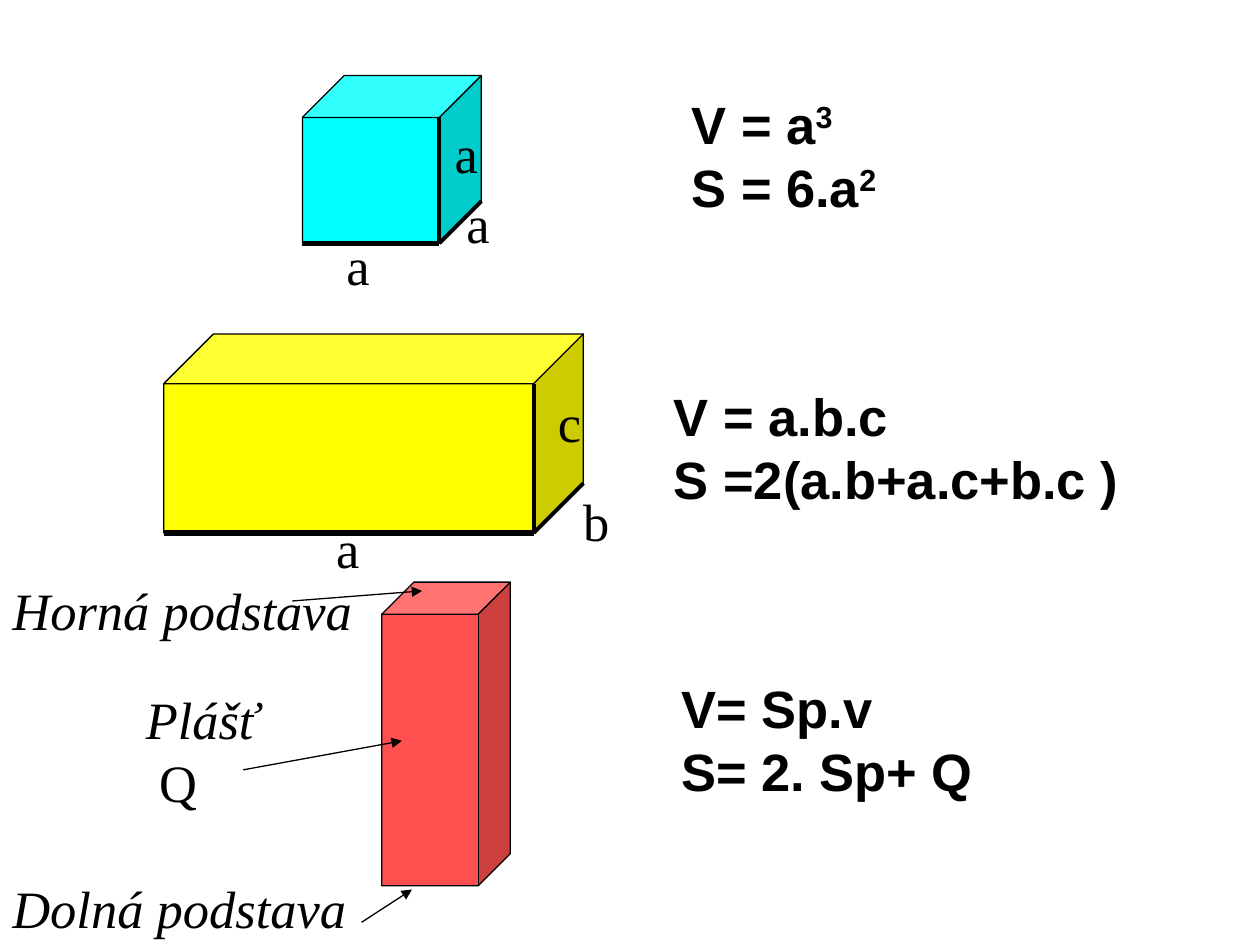
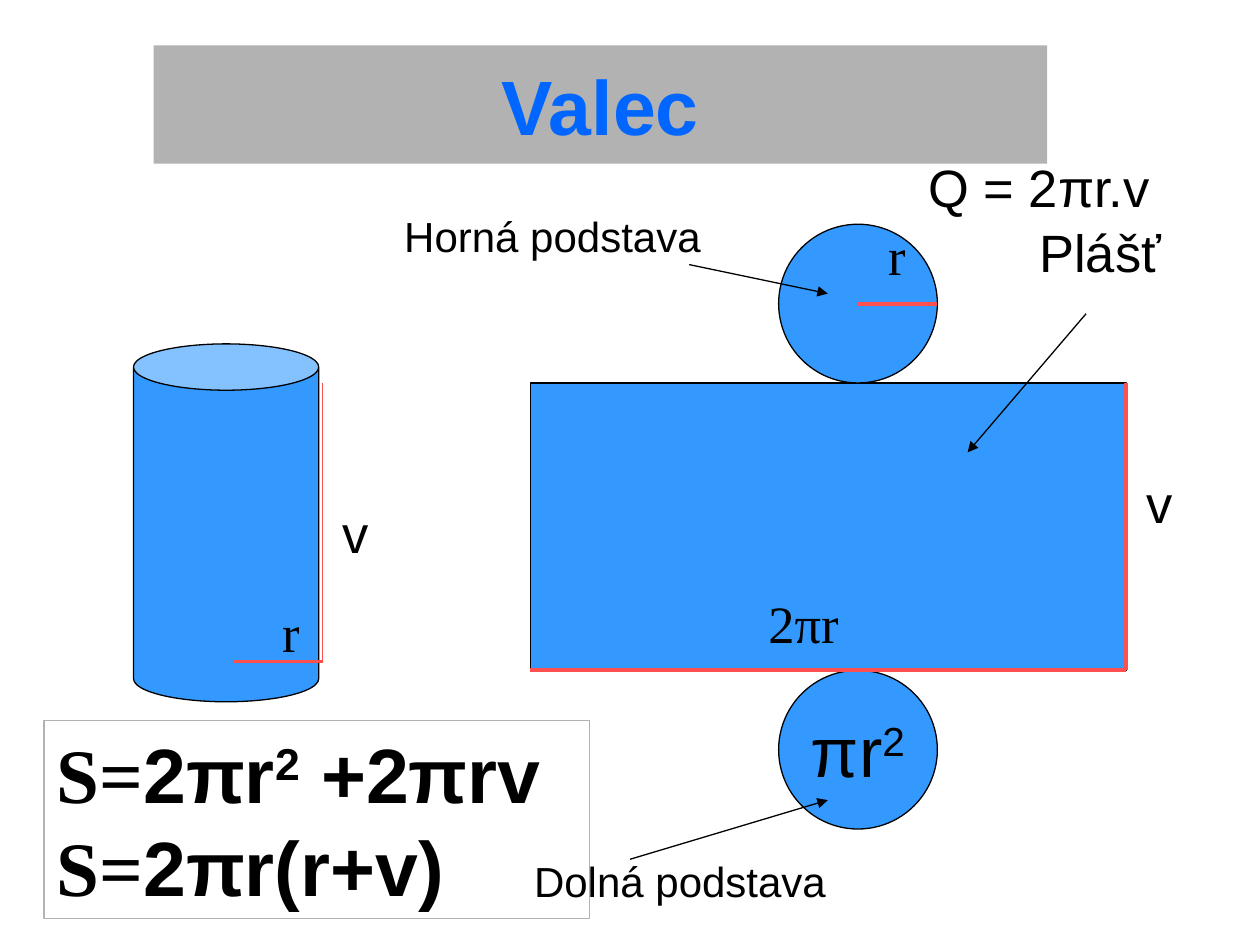
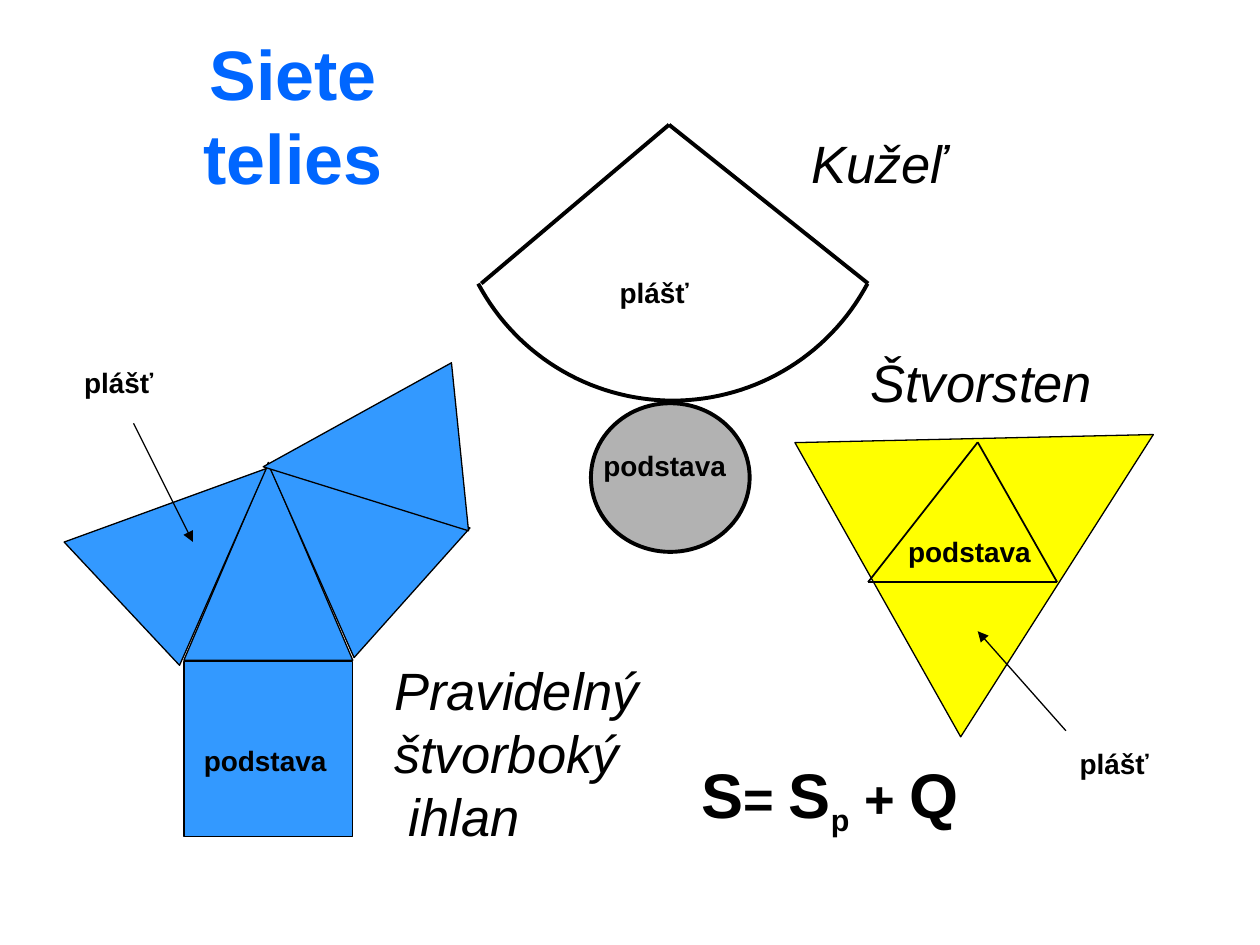
from math import cos, radians, sin

from lxml import etree
from pptx import Presentation
from pptx.dml.color import RGBColor
from pptx.enum.shapes import MSO_CONNECTOR, MSO_SHAPE
from pptx.enum.text import MSO_ANCHOR, PP_ALIGN
from pptx.oxml.ns import qn
from pptx.util import Inches, Pt

CUBE, CAN, OVAL = MSO_SHAPE.CUBE, MSO_SHAPE.CAN, MSO_SHAPE.OVAL
RECTANGLE, TRIANGLE = MSO_SHAPE.RECTANGLE, MSO_SHAPE.ISOSCELES_TRIANGLE
STRAIGHT = MSO_CONNECTOR.STRAIGHT
LEFT, CENTER = PP_ALIGN.LEFT, PP_ALIGN.CENTER
TOP, MIDDLE = MSO_ANCHOR.TOP, MSO_ANCHOR.MIDDLE

BLACK = RGBColor(0x00, 0x00, 0x00)
CYAN = RGBColor(0x00, 0xFF, 0xFF)
YELLOW = RGBColor(0xFF, 0xFF, 0x00)
RED = RGBColor(0xFF, 0x50, 0x50)
BLUE = RGBColor(0x33, 0x99, 0xFF)
TITLE_BLUE = RGBColor(0x00, 0x66, 0xFF)
GREY = RGBColor(0xB2, 0xB2, 0xB2)

# Text styles
SERIF = {"name": "Times New Roman", "size": Pt(30)}
SERIF_ITALIC = {**SERIF, "italic": True}
SANS = {"name": "Arial", "size": Pt(30)}
SANS_ITALIC = {**SANS, "italic": True}
FORMULA = {**SANS, "bold": True}
BIG_FORMULA = {**FORMULA, "size": Pt(44)}
BASE_NAME = {**SANS, "size": Pt(24)}
NET_PART = {**FORMULA, "size": Pt(16)}
TITLE = {**FORMULA, "size": Pt(44)}
RAISED = {"baseline": 30}
LARGE = {"size": Pt(36)}
S_SERIF = ("S=", {"name": "Times New Roman"})

# Grid of 10 columns and 7.5 rows
prs = Presentation()
prs.slide_width, prs.slide_height = Inches(10), Inches(7.5)
COLUMN, ROW = prs.slide_width / 10, prs.slide_height / 7.5
prisms, cylinder, nets = [prs.slides.add_slide(prs.slide_layouts[6]) for _ in range(3)]


def add_solid(slide, preset, box, fill, outline=BLACK, weight=0.75, angle=0):
    left, top, width, height = box
    solid = slide.shapes.add_shape(preset, int(left * COLUMN), int(top * ROW),
                                   int(width * COLUMN), int(height * ROW))
    solid.shadow.inherit = False
    solid.rotation = angle
    if fill is None:
        solid.fill.background()
    else:
        solid.fill.solid()
        solid.fill.fore_color.rgb = fill
    if outline is None:
        solid.line.fill.background()
    else:
        solid.line.color.rgb = outline
        solid.line.width = Pt(weight)
    return solid


def write(frame, rows, style, color=BLACK, align=LEFT, anchor=TOP):
    """Each row is a string or a list of (text, format changes) runs."""
    frame.word_wrap = True
    frame.vertical_anchor = anchor
    for index, row in enumerate(rows):
        paragraph = frame.add_paragraph() if index else frame.paragraphs[0]
        paragraph.alignment = align
        for text, changes in [(row, {})] if isinstance(row, str) else row:
            run = paragraph.add_run()
            run.text = text
            run.font.color.rgb = color
            for key, value in {**style, **changes}.items():
                if key == "baseline":
                    run._r.get_or_add_rPr().set(key, str(value * 1000))
                else:
                    setattr(run.font, key, value)


# Lines: slide, start, end, colour, weight, arrowhead
lines = []

# Slide 1: prisms, with the three named edges of the cube and the cuboid
cube = (2.4, 0.6, 1.42, 1.33)
cuboid = (1.3, 2.65, 3.33, 1.58)
column_prism = (3.03, 4.62, 1.02, 2.41)
for box, fill in ((cube, CYAN), (cuboid, YELLOW), (column_prism, RED)):
    add_solid(prisms, CUBE, box, fill)
for left, top, width, height in (cube, cuboid):
    depth = min(width, height) / 4
    right, bottom = left + width, top + height
    corner = (right - depth, bottom)
    lines += [(prisms, (left, bottom), corner, BLACK, 3, False),
              (prisms, (right, bottom - depth), corner, BLACK, 2.25, False),
              (prisms, (right - depth, top + depth), corner, BLACK, 2.25, False)]

# Slide 2: cylinder and its net
banner = add_solid(cylinder, RECTANGLE, (1.22, 0.36, 7.09, 0.94), GREY, None)
write(banner.text_frame, ["Valec"], TITLE, TITLE_BLUE, CENTER, MIDDLE)
add_solid(cylinder, CAN, (1.06, 2.73, 1.47, 2.84), BLUE)
net_left, net_top, net_width, net_height = 4.21, 3.04, 4.73, 2.28
net_right, net_bottom = net_left + net_width, net_top + net_height
diameter, base_left = 1.26, 6.18
add_solid(cylinder, RECTANGLE, (net_left, net_top, net_width, net_height), BLUE)
add_solid(cylinder, OVAL, (base_left, net_top - diameter, diameter, diameter), BLUE)
lower_base = add_solid(cylinder, OVAL, (base_left, net_bottom, diameter, diameter), BLUE)
lower_base.text_frame.margin_left = lower_base.text_frame.margin_right = 0
write(lower_base.text_frame, [[("πr", {}), ("2", RAISED)]],
      {**SANS, "size": Pt(40)}, BLACK, CENTER, MIDDLE)
surface = add_solid(cylinder, RECTANGLE, (0.35, 5.72, 4.33, 1.57), None, GREY)
write(surface.text_frame,
      [[S_SERIF, ("2πr", {}), ("2", RAISED), (" +2πrv", {})],
       [S_SERIF, ("2πr(r+v)", {})]], BIG_FORMULA)
radius_y = net_top - diameter / 2
for start, end, weight in (
        ((net_left, net_bottom), (net_right, net_bottom), 2.25),
        ((net_right, net_top), (net_right, net_bottom), 2.25),
        ((base_left + diameter / 2, radius_y), (base_left + diameter, radius_y), 2.25),
        ((1.85, 5.25), (2.56, 5.25), 2.25),
        ((2.56, 3.04), (2.56, 5.25), 0.75)):
    lines.append((cylinder, start, end, RED, weight, False))

# Slide 3: nets of tetrahedron, pyramid and cone
heading = nets.shapes.add_textbox(int(0.04 * COLUMN), int(0.28 * ROW),
                                  int(4.57 * COLUMN), int(1.25 * ROW))
write(heading.text_frame, ["Siete", "telies"], {**TITLE, "size": Pt(40)},
      TITLE_BLUE, CENTER, MIDDLE)
for preset, box, fill, weight, angle in (
        (TRIANGLE, (6.72, 2.81, 2.68, 2.51), YELLOW, 0.75, 60.6),
        (RECTANGLE, (1.46, 5.25, 1.34, 1.39), BLUE, 0.75, 0),
        (TRIANGLE, (1.46, 3.67, 1.34, 1.57), BLUE, 0.75, 0),
        (TRIANGLE, (2.01, 3.43, 1.38, 1.53), BLUE, 0.75, 311.8),
        (TRIANGLE, (2.2, 2.84, 1.34, 1.57), BLUE, 0.75, 264.2),
        (TRIANGLE, (0.87, 3.47, 1.34, 1.57), BLUE, 0.75, 46.9),
        (OVAL, (4.69, 3.2, 1.26, 1.18), GREY, 2.25, 0)):
    add_solid(nets, preset, box, fill, BLACK, weight, angle)

arc_x, arc_y, arc_radius = 5.34, 1.43, 1.75
arc_points = [(int((arc_x + arc_radius * cos(radians(turn))) * COLUMN),
               int((arc_y + arc_radius * sin(radians(turn))) * ROW))
              for turn in range(28, 153, 2)]
builder = nets.shapes.build_freeform(*arc_points[0])
builder.add_line_segments(arc_points[1:], close=False)
cone_arc = builder.convert_to_shape()
cone_arc.shadow.inherit = False
cone_arc.fill.background()
cone_arc.line.color.rgb = BLACK
cone_arc.line.width = Pt(2.25)

cone_tip = (5.31, 0.99)
for rim in ((3.82, 2.25), (6.89, 2.25)):
    lines.append((nets, cone_tip, rim, BLACK, 2.25, False))
folds = ((7.76, 3.51), (6.89, 4.62), (8.39, 4.62))
for index, fold in enumerate(folds):
    lines.append((nets, folds[index - 1], fold, BLACK, 1, False))

# Pointers from names to parts
for slide, start, end in (
        (prisms, (2.87, 7.32), (3.27, 7.06)),
        (prisms, (2.32, 4.77), (3.35, 4.69)),
        (prisms, (1.93, 6.11), (3.19, 5.88)),
        (cylinder, (8.62, 2.49), (7.68, 3.59)),
        (cylinder, (5, 6.82), (6.57, 6.35)),
        (cylinder, (5.47, 2.1), (6.57, 2.33)),
        (nets, (1.06, 3.36), (1.53, 4.3)),
        (nets, (8.46, 5.8), (7.76, 5.01))):
    lines.append((slide, start, end, BLACK, 0.75, True))

for slide, start, end, color, weight, arrow in lines:
    edge = slide.shapes.add_connector(STRAIGHT, int(start[0] * COLUMN), int(start[1] * ROW),
                                      int(end[0] * COLUMN), int(end[1] * ROW))
    edge.line.color.rgb = color
    edge.line.width = Pt(weight)
    if arrow:
        etree.SubElement(edge.line._get_or_add_ln(), qn("a:tailEnd"), type="triangle")
    etree.SubElement(edge._element.spPr, qn("a:effectLst"))

# Names and formulas: slide, box, rows, style
for slide, (left, top, width, height), rows, style in (
        (prisms, (5.39, 0.68, 2.42, 1.1),
         [[("V = a", {}), ("3", RAISED)], [("S = 6.a", {}), ("2", RAISED)]], FORMULA),
        (prisms, (5.25, 3, 4.17, 1.1), ["V = a.b.c", "S =2(a.b+a.c+b.c )"], FORMULA),
        (prisms, (5.31, 5.32, 3.15, 1.1), ["V= Sp.v", "S= 2. Sp+ Q"], FORMULA),
        (prisms, (2.65, 1.8, 0.4, 0.6), ["a"], SERIF),
        (prisms, (3.5, 1.47, 0.6, 0.6), [" a"], SERIF),
        (prisms, (3.51, 0.91, 0.4, 0.6), ["a"], SERIF),
        (prisms, (4.53, 3.83, 0.42, 0.6), ["b"], SERIF),
        (prisms, (4.33, 3.05, 0.54, 0.6), ["c"], SERIF),
        (prisms, (2.57, 4.05, 0.4, 0.6), ["a"], SERIF),
        (prisms, (0, 6.9, 2.9, 0.6), ["Dolná podstava"], SERIF_ITALIC),
        (prisms, (0, 4.54, 2.95, 0.6), ["Horná podstava"], SERIF_ITALIC),
        (prisms, (1.06, 5.4, 1.18, 1.1), ["Plášť", [(" Q", {"italic": False})]], SERIF_ITALIC),
        (cylinder, (6, 4.64, 0.8, 0.6), ["2πr"], SERIF),
        (cylinder, (9, 3.69, 0.45, 0.6), ["v"], SANS),
        (cylinder, (2.62, 3.93, 0.45, 0.6), ["v"], SANS),
        (cylinder, (6.95, 1.72, 0.4, 0.6), ["r"], SERIF),
        (cylinder, (2.14, 4.71, 0.4, 0.6), ["r"], SERIF),
        (cylinder, (7.27, 1.18, 2.38, 0.67), ["Q = 2πr.v"], SANS),
        (cylinder, (8.15, 1.7, 1.56, 0.6), ["Plášť"], SANS),
        (cylinder, (3.11, 1.62, 2.6, 0.5), ["Horná podstava"], BASE_NAME),
        (cylinder, (4.14, 6.74, 2.6, 0.5), ["Dolná podstava"], BASE_NAME),
        (nets, (3.03, 5.17, 2.99, 1.6), ["Pravidelný", "štvorboký", " ihlan"], SANS_ITALIC),
        (nets, (6.81, 2.73, 2, 0.6), ["Štvorsten"], SANS_ITALIC),
        (nets, (6.34, 0.99, 1.42, 0.6), ["Kužeľ"], SANS_ITALIC),
        (nets, (5.47, 5.95, 3.15, 0.75),
         [[("S", LARGE), ("= ", {}), ("S", LARGE), ("p", {"baseline": -25}),
           (" + ", {}), ("Q", LARGE)]], FORMULA),
        (nets, (4.69, 3.51, 1.2, 0.37), ["podstava"], NET_PART),
        (nets, (1.52, 5.85, 1.2, 0.37), ["podstava"], NET_PART),
        (nets, (7.11, 4.19, 1.2, 0.37), ["podstava"], NET_PART),
        (nets, (4.82, 2.14, 0.8, 0.37), ["plášť"], NET_PART),
        (nets, (0.57, 2.85, 0.97, 0.37), ["plášť"], NET_PART),
        (nets, (8.47, 5.88, 0.85, 0.37), ["plášť"], NET_PART)):
    label = slide.shapes.add_textbox(int(left * COLUMN), int(top * ROW),
                                     int(width * COLUMN), int(height * ROW))
    write(label.text_frame, rows, style)

prs.save("out.pptx")
